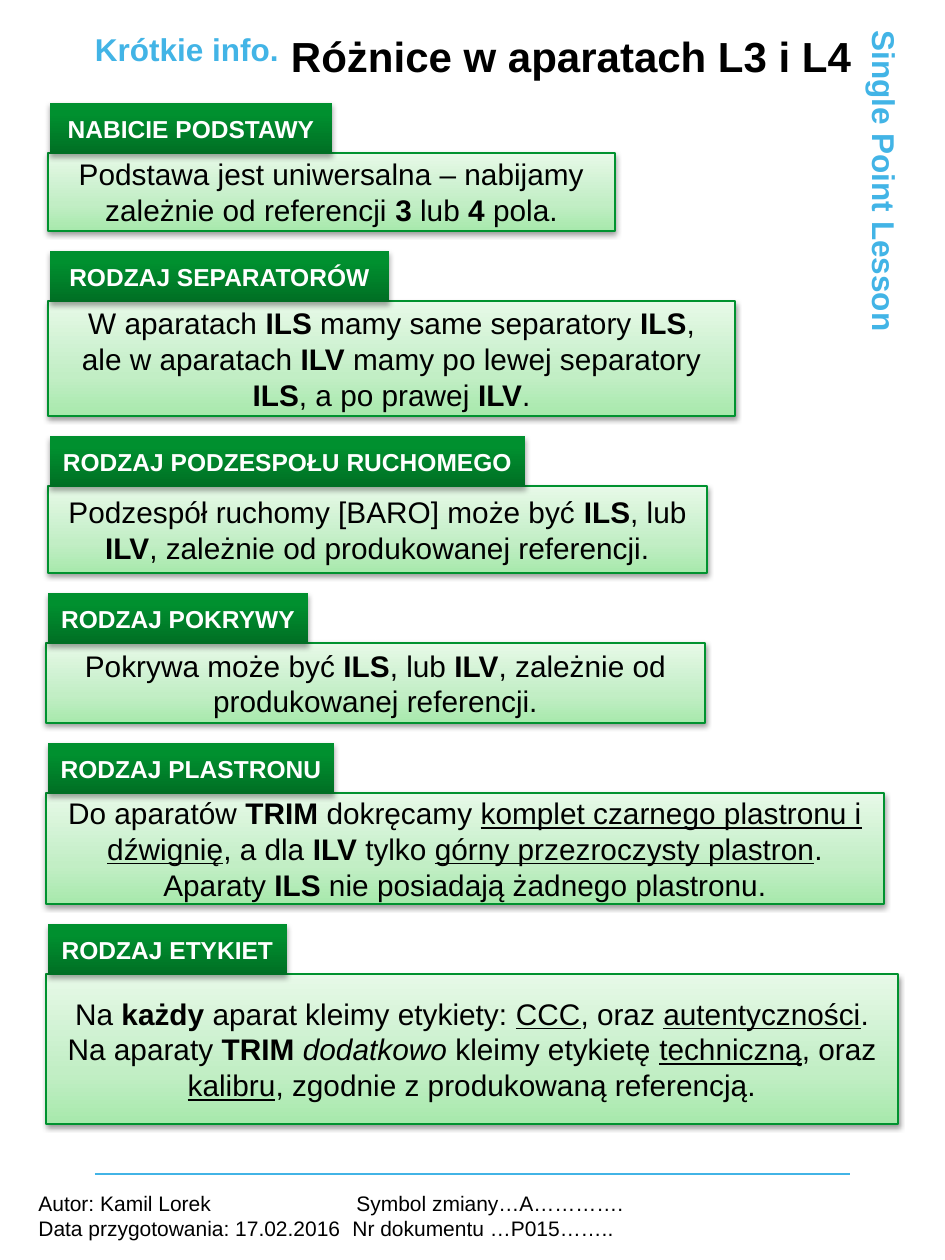
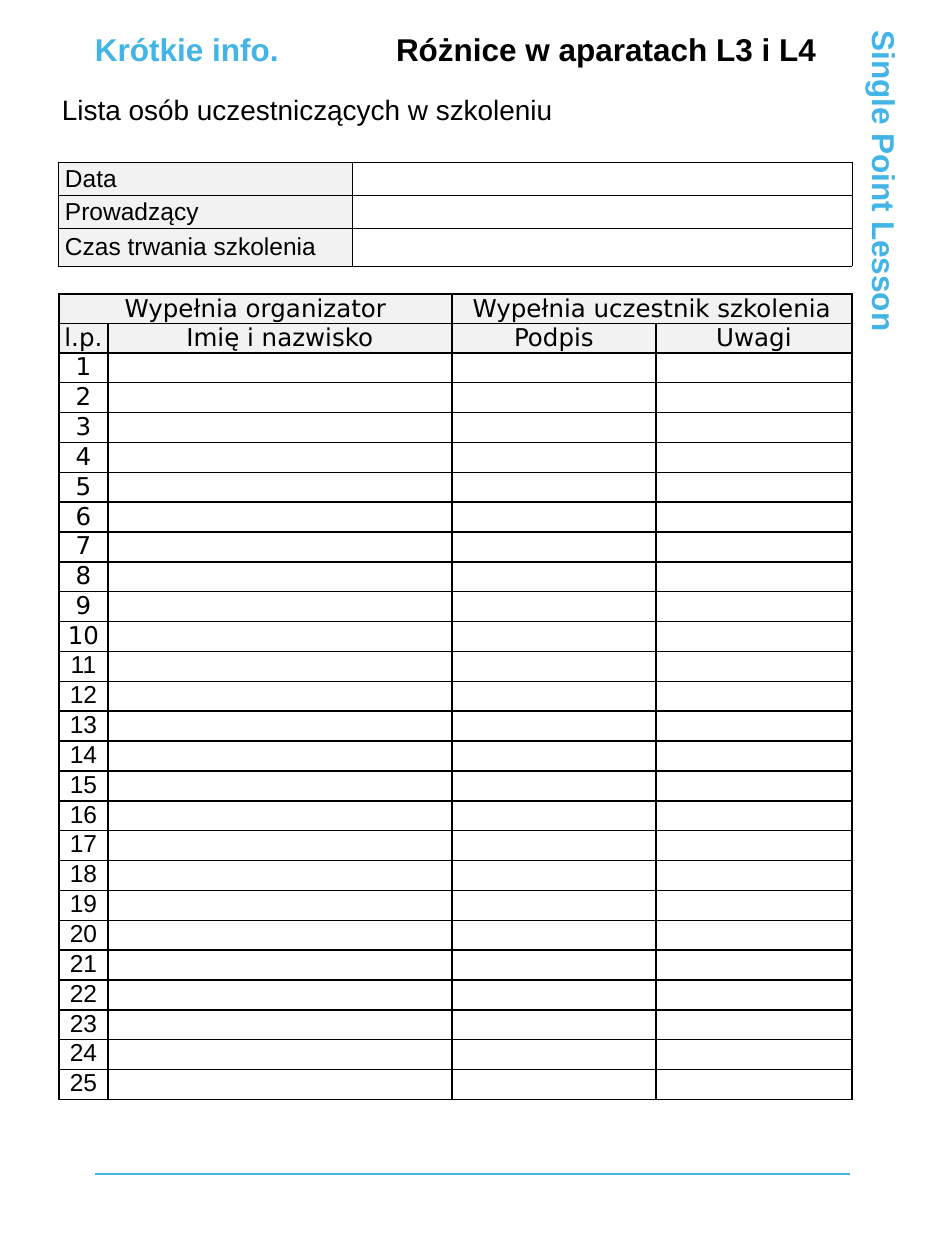
from lxml.etree import SubElement
from pptx import Presentation
from pptx.dml.color import RGBColor
from pptx.enum.shapes import MSO_CONNECTOR, MSO_SHAPE
from pptx.enum.text import MSO_ANCHOR, MSO_AUTO_SIZE, PP_ALIGN
from pptx.oxml.ns import qn
from pptx.util import Pt

SCALE = 914400 / 126
SLIDE_W, SLIDE_H = 945, 1260

BLUE = RGBColor(0x42, 0xB4, 0xE6)
GREEN = RGBColor(0x00, 0x92, 0x2F)
BLACK = RGBColor(0x00, 0x00, 0x00)
WHITE = RGBColor(0xFF, 0xFF, 0xFF)
GREY = RGBColor(0xF2, 0xF2, 0xF2)
BANNER_STOPS = [(0, RGBColor(0x00, 0x6F, 0x24)), (80, RGBColor(0x00, 0x90, 0x2F)),
                (100, RGBColor(0x00, 0x91, 0x2F))]
BODY_STOPS = [(0, RGBColor(0xA7, 0xE9, 0xAC)), (35, RGBColor(0xC2, 0xEE, 0xC5)),
              (100, RGBColor(0xE7, 0xF9, 0xE8))]

FONT, TABLE_FONT = "Arial", "DejaVu Sans"
TITLE = "Różnice w aparatach L3 i L4"

# Marks in texts switch a format on and off: * bold, _ underline, ~ italic
MARKS = {"*": "bold", "_": "underline", "~": "italic"}

# Heading, heading width, body width, body height, body paragraphs
BANNER_H, BODY_DROP, SECTION_GAP = 51, 50, 20
SECTIONS = [
    (50, "NABICIE PODSTAWY", 282, 567, 78,
     ["Podstawa jest uniwersalna – nabijamy zależnie od referencji *3* lub *4* pola."]),
    (50, "RODZAJ SEPARATORÓW", 339, 687, 115,
     ["W aparatach *ILS* mamy same separatory *ILS*,",
      "ale w aparatach *ILV* mamy po lewej separatory *ILS*, a po prawej *ILV*."]),
    (50, "RODZAJ PODZESPOŁU RUCHOMEGO", 475, 659, 87,
     ["Podzespół ruchomy [BARO] może być *ILS*, lub *ILV*, "
      "zależnie od produkowanej referencji."]),
    (48, "RODZAJ POKRYWY", 260, 659, 80,
     ["Pokrywa może być *ILS*, lub *ILV*, zależnie od produkowanej referencji."]),
    (48, "RODZAJ PLASTRONU", 286, 838, 111,
     ["Do aparatów *TRIM* dokręcamy _komplet czarnego plastronu i dźwignię_, "
      "a dla *ILV* tylko _górny przezroczysty plastron_.",
      "Aparaty *ILS* nie posiadają żadnego plastronu."]),
    (48, "RODZAJ ETYKIET", 239, 852, 150,
     ["Na *każdy* aparat kleimy etykiety: _CCC_, oraz _autentyczności_.",
      "Na aparaty *TRIM* ~dodatkowo~ kleimy etykietę _techniczną_, oraz _kalibru_, "
      "zgodnie z produkowaną referencją."]),
]


def px(n):
    return round(n * SCALE)


def box(x, y, w, h):
    return px(x), px(y), px(w), px(h)


def split_marks(text):
    """Yield (piece, formats) for a text with format marks."""
    piece, on = "", set()
    for ch in text:
        if ch not in MARKS:
            piece += ch
            continue
        if piece:
            yield piece, set(on)
        piece = ""
        on ^= {MARKS[ch]}
    if piece:
        yield piece, on


def write(tf, paragraphs, size=14, color=BLACK, bold=False, font=FONT,
          align=PP_ALIGN.LEFT, anchor=MSO_ANCHOR.TOP, inset=None, wrap=True):
    tf.word_wrap = wrap
    tf.auto_size = MSO_AUTO_SIZE.NONE
    tf.vertical_anchor = anchor
    if inset is not None:
        tf.margin_left = tf.margin_right = tf.margin_top = tf.margin_bottom = px(inset)
    for i, text in enumerate(paragraphs):
        p = tf.paragraphs[0] if i == 0 else tf.add_paragraph()
        p.alignment = align
        for piece, formats in split_marks(text):
            r = p.add_run()
            r.text = piece
            r.font.name, r.font.size, r.font.color.rgb = font, Pt(size), color
            r.font.bold = bold or "bold" in formats
            if "underline" in formats:
                r.font.underline = True
            if "italic" in formats:
                r.font.italic = True


def add_text(s, bounds, paragraphs, **fmt):
    tb = s.shapes.add_textbox(*box(*bounds))
    write(tb.text_frame, paragraphs, **fmt)
    return tb


def add_rect(s, bounds):
    sp = s.shapes.add_shape(MSO_SHAPE.RECTANGLE, *box(*bounds))
    sp.shadow.inherit = False
    sp.line.fill.background()
    return sp


def add_gradient_rect(s, bounds, stops, shadow_dist, shadow_alpha):
    sp = add_rect(s, bounds)
    sp.fill.gradient()
    sp.fill.gradient_angle = 90
    spPr = sp._element.spPr
    gs_lst = spPr.find(qn("a:gradFill")).find(qn("a:gsLst"))
    for gs in list(gs_lst):
        gs_lst.remove(gs)
    for pos, color in stops:
        gs = SubElement(gs_lst, qn("a:gs"), pos=str(pos * 1000))
        SubElement(gs, qn("a:srgbClr"), val=str(color))
    shadow = SubElement(spPr.find(qn("a:effectLst")), qn("a:outerShdw"), blurRad="40000",
                        dist=str(shadow_dist), dir="5400000", rotWithShape="0")
    clr = SubElement(shadow, qn("a:srgbClr"), val=str(BLACK))
    SubElement(clr, qn("a:alpha"), val=str(shadow_alpha * 1000))
    return sp


def add_frame(prs, title_bounds, title_size):
    """Add a slide with the shared header, side label, rule and title."""
    s = prs.slides.add_slide(prs.slide_layouts[5])
    label = dict(size=18, color=BLUE, bold=True, inset=0)
    add_text(s, (95, 30, 348, 38), ["Krótkie info."], **label)

    # Side label
    side = add_rect(s, (518, 378, 733, 38))
    side.fill.solid()
    side.fill.fore_color.rgb = WHITE
    side.rotation = 90
    write(side.text_frame, ["Single Point Lesson"], **label)

    # Bottom rule
    rule = s.shapes.add_connector(MSO_CONNECTOR.STRAIGHT, px(95), px(1174), px(850), px(1174))
    rule.line.color.rgb = BLUE
    rule.line.width = Pt(1.5)
    SubElement(rule._element.spPr, qn("a:effectLst"))

    # Title
    title = s.shapes.title
    title.left, title.top, title.width, title.height = box(*title_bounds)
    write(title.text_frame, [TITLE], size=title_size, bold=True, inset=0)
    return s


def add_section(s, x, y, heading, heading_w, body_w, body_h, paragraphs):
    body = add_gradient_rect(s, (x - 2, y + BODY_DROP, body_w, body_h), BODY_STOPS, 20000, 38)
    body.line.color.rgb = GREEN
    body.line.width = Pt(0.75)
    centred = dict(align=PP_ALIGN.CENTER, anchor=MSO_ANCHOR.MIDDLE)
    write(body.text_frame, paragraphs, size=17, **centred)

    banner = add_gradient_rect(s, (x, y, heading_w, BANNER_H), BANNER_STOPS, 23000, 35)
    write(banner.text_frame, [heading], color=WHITE, bold=True, wrap=False, **centred)


def add_footer(s, x, y, w, h):
    lines = [("Autor: Kamil Lorek\tSymbol zmiany…A………….", 318),
             ("Data przygotowania: 17.02.2016\tNr dokumentu …P015……..", 314)]
    tb = add_text(s, (x, y, w, h), [text for text, _ in lines], size=12)
    for p, (_, stop) in zip(tb.text_frame.paragraphs, lines):
        tabs = SubElement(p._p.get_or_add_pPr(), qn("a:tabLst"))
        SubElement(tabs, qn("a:tab"), pos=str(px(stop)), algn="l")


def format_cell(cell, text, border, side_inset, fill=None, font=FONT,
                align=PP_ALIGN.LEFT, anchor=MSO_ANCHOR.MIDDLE):
    cell.margin_left = cell.margin_right = px(side_inset)
    cell.margin_top = cell.margin_bottom = 0
    cell.vertical_anchor = anchor
    tcPr = cell._tc.get_or_add_tcPr()
    for edge in ("a:lnL", "a:lnR", "a:lnT", "a:lnB"):
        ln = SubElement(tcPr, qn(edge), w=str(Pt(border)))
        SubElement(SubElement(ln, qn("a:solidFill")), qn("a:srgbClr"), val=str(BLACK))
    if fill is None:
        cell.fill.background()
    else:
        cell.fill.solid()
        cell.fill.fore_color.rgb = fill
    p = cell.text_frame.paragraphs[0]
    p.alignment = align
    if text:
        r = p.add_run()
        r.text = text
        r.font.name, r.font.size, r.font.color.rgb = font, Pt(14), BLACK
    else:
        SubElement(p._p, qn("a:endParaRPr"), sz="1400")


def add_grid(s, x, y, cols, rows):
    frame = s.shapes.add_table(len(rows), len(cols), *box(x, y, sum(cols), sum(rows)))
    table = frame.table
    table.first_row = table.horz_banding = False
    for col, w in zip(table.columns, cols):
        col.width = px(w)
    for row, h in zip(table.rows, rows):
        row.height = px(h)
    return table


def add_training_table(s, x, y):
    labels = ["Data", "Prowadzący", "Czas trwania szkolenia"]
    table = add_grid(s, x, y, [294, 500], [33, 33, 38])
    for i, label in enumerate(labels):
        format_cell(table.cell(i, 0), label, 0.5, 7, fill=GREY)
        format_cell(table.cell(i, 1), "", 0.5, 7)


def add_attendance_table(s, x, y, h, people=25):
    heads = [["Wypełnia organizator", "", "Wypełnia uczestnik szkolenia", ""],
             ["l.p.", "Imię i nazwisko", "Podpis", "Uwagi"]]
    count = len(heads) + people
    table = add_grid(s, x, y, [49, 344, 204, 196], [h / count] * count)
    for i, row in enumerate(heads):
        for j, text in enumerate(row):
            format_cell(table.cell(i, j), text, 1, 5, fill=GREY, font=TABLE_FONT,
                        align=PP_ALIGN.CENTER)
    for left in (0, 2):
        table.cell(0, left).merge(table.cell(0, left + 1))
    for n in range(1, people + 1):
        for j in range(4):
            format_cell(table.cell(n + 1, j), "" if j else str(n), 1, 5,
                        font=TABLE_FONT if n <= 10 else FONT,
                        align=PP_ALIGN.CENTER, anchor=MSO_ANCHOR.TOP)


def build_lesson_slide(prs):
    s = add_frame(prs, (291, 30, 577, 57), 24)
    add_footer(s, 26, 1184, 674, 63)
    y = 103
    for x, heading, heading_w, body_w, body_h, paragraphs in SECTIONS:
        add_section(s, x, y, heading, heading_w, body_w, body_h, paragraphs)
        y += BODY_DROP + body_h + SECTION_GAP


def build_attendance_slide(prs):
    s = add_frame(prs, (396, 30, 455, 57), 18)
    add_attendance_table(s, 59, 294, 795)
    add_training_table(s, 58, 162)
    add_text(s, (62, 93, 769, 47), ["Lista osób uczestniczących w szkoleniu"],
             size=16, inset=0)


def main():
    prs = Presentation()
    prs.slide_width, prs.slide_height = px(SLIDE_W), px(SLIDE_H)
    build_lesson_slide(prs)
    build_attendance_slide(prs)
    prs.save("out.pptx")


if __name__ == "__main__":
    main()
